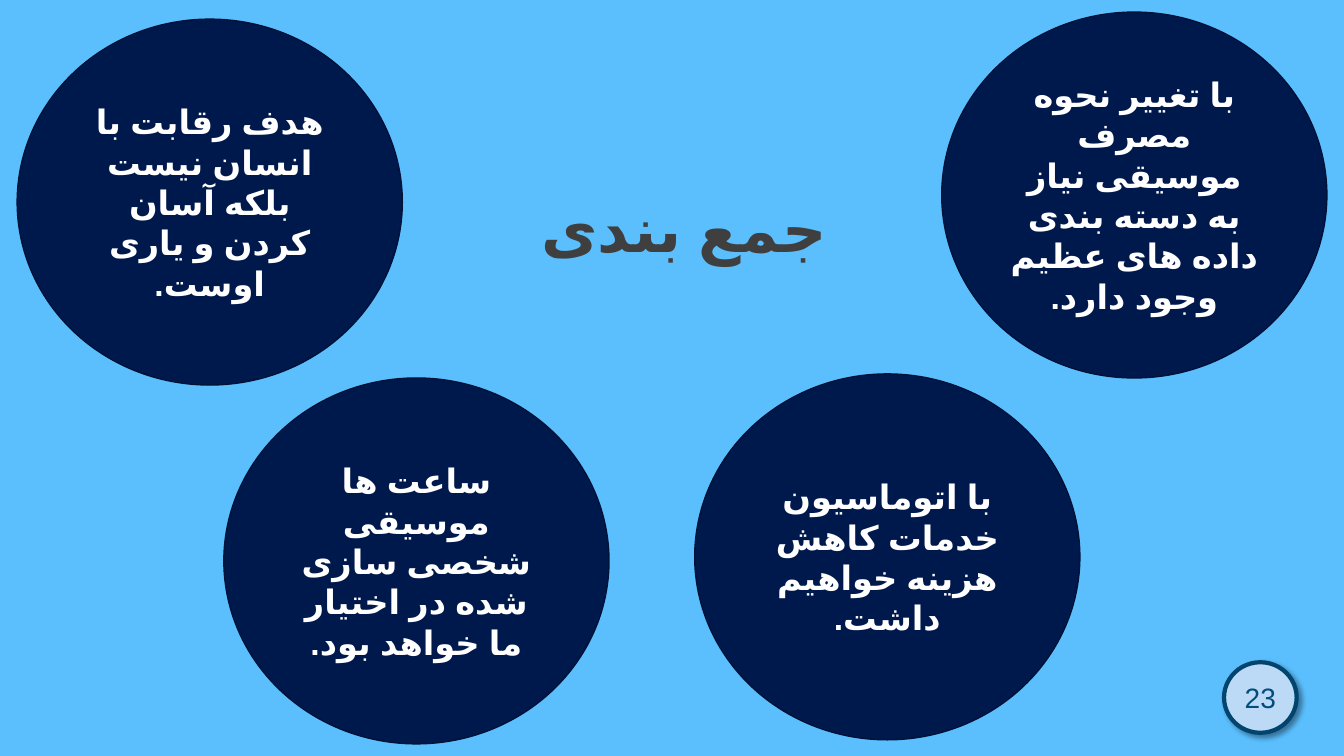
from lxml.etree import SubElement
from pptx import Presentation
from pptx.dml.color import RGBColor
from pptx.enum.shapes import MSO_SHAPE
from pptx.enum.text import MSO_ANCHOR, MSO_AUTO_SIZE, PP_ALIGN
from pptx.oxml.ns import qn
from pptx.util import Inches, Pt

# Content
TITLE = "جمع بندی"
PAGE = "23"
POINTS = [  # left, top, text
    (9.34, 0.12, "با تغییر نحوه مصرف موسیقی نیاز به دسته بندی داده های عظیم وجود دارد."),
    (6.89, 3.71, "با اتوماسیون خدمات کاهش هزینه خواهیم داشت."),
    (2.22, 3.75, "ساعت ها موسیقی شخصی سازی شده در اختیار ما خواهد بود."),
    (0.17, 0.19, "هدف رقابت با انسان نیست بلکه آسان کردن و یاری اوست."),
]
SIZE = (3.82, 3.63)
COLORS = {
    "back": "5BBFFE", "navy": "00194C", "edge": "001238", "white": "FFFFFF",
    "badge": "BCDAF6", "ring": "01456F", "page": "014E7D", "title": "3F3F3F",
}


def color(name):
    return RGBColor.from_string(COLORS[name])


def write(frame, text, size, ink, font="Calibri", rtl=True):
    frame.text = text
    frame.word_wrap = True
    para = frame.paragraphs[0]
    para.alignment = PP_ALIGN.CENTER
    run = para.runs[0]
    run.font.name = font
    run.font.size = Pt(size)
    run.font.color.rgb = color(ink)
    if rtl:
        run.font.bold = True
        para._p.get_or_add_pPr().set("rtl", "1")
        props = run._r.get_or_add_rPr()
        props.set("lang", "fa-IR")
        SubElement(props, qn("a:cs"), typeface="Arial")


def circle(left, top, wide, high, fill, line, width):
    shape = slide.shapes.add_shape(
        MSO_SHAPE.OVAL, Inches(left), Inches(top), Inches(wide), Inches(high))
    shape.shadow.inherit = False
    shape.fill.solid()
    shape.fill.fore_color.rgb = color(fill)
    shape.line.color.rgb = color(line)
    shape.line.width = Pt(width)
    shape.text_frame.vertical_anchor = MSO_ANCHOR.MIDDLE
    return shape


# Slide and background
deck = Presentation()
deck.slide_width, deck.slide_height = Inches(13.33), Inches(7.5)
slide = deck.slides.add_slide(deck.slide_layouts[5])
slide.background.fill.solid()
slide.background.fill.fore_color.rgb = color("back")

# Title
title = slide.shapes.title
title.left, title.top = Inches(4.77), Inches(1.84)
title.width, title.height = Inches(4.03), Inches(0.84)
write(title.text_frame, TITLE, 44, "title")
title.text_frame.auto_size = MSO_AUTO_SIZE.NONE
title.text_frame.vertical_anchor = MSO_ANCHOR.TOP

# Summary circles
for left, top, text in POINTS:
    disc = circle(left, top, *SIZE, "navy", "edge", 1)
    write(disc.text_frame, text, 24, "white")

# Page badge with a soft shadow
badge = circle(12.14, 6.57, 0.72, 0.7, "badge", "ring", 3)
frame = badge.text_frame
frame.margin_left = frame.margin_right = 0
frame.margin_top = frame.margin_bottom = 0
write(frame, PAGE, 20, "page", "Arial", rtl=False)
effect = badge._element.spPr.find(qn("a:effectLst"))
shade = SubElement(effect, qn("a:outerShdw"), blurRad=str(Pt(4)),
                   dist=str(Pt(3)), dir="2700000", algn="tl", rotWithShape="0")
tint = SubElement(shade, qn("a:srgbClr"), val="000000")
SubElement(tint, qn("a:alpha"), val="40000")

deck.save("out.pptx")
